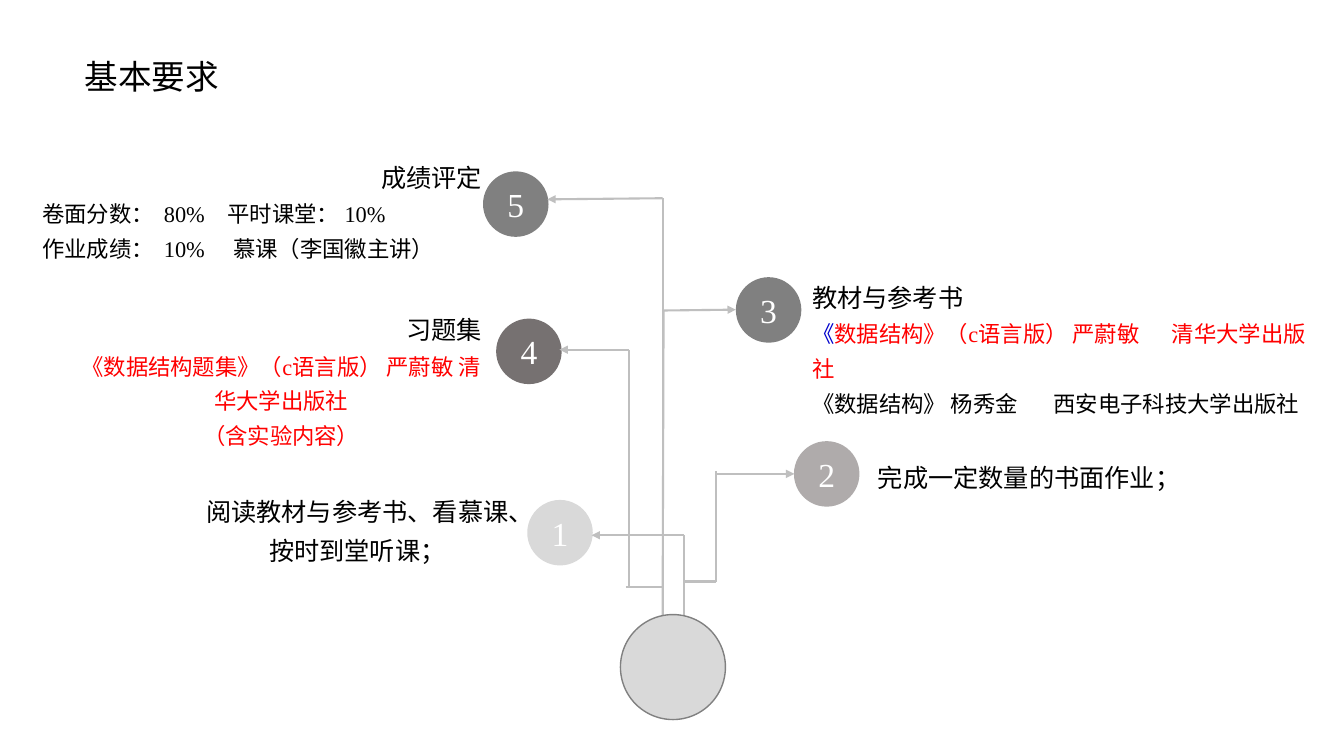
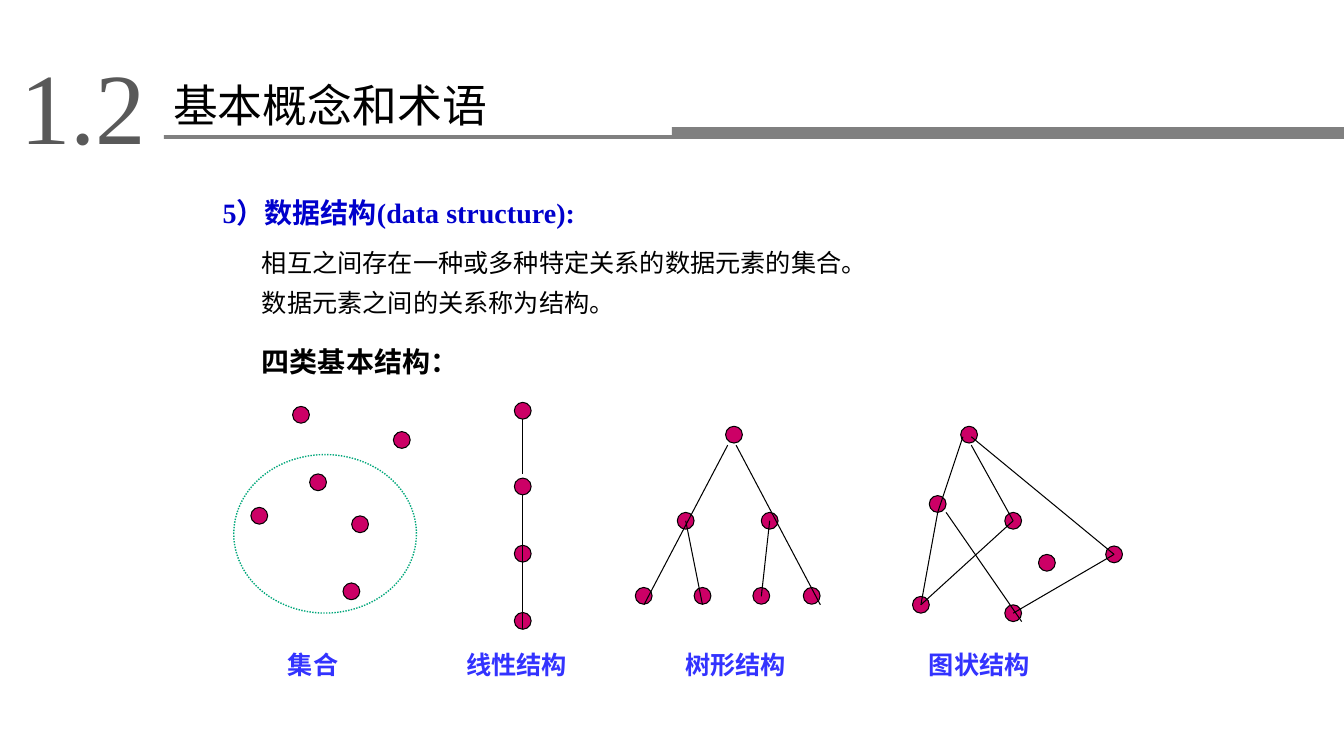
from dataclasses import dataclass
from itertools import pairwise

from lxml.etree import SubElement
from pptx import Presentation
from pptx.dml.color import RGBColor
from pptx.enum.dml import MSO_LINE_DASH_STYLE as Dash
from pptx.enum.shapes import MSO_CONNECTOR as Connector, MSO_SHAPE as Preset
from pptx.enum.text import MSO_ANCHOR as Anchor, PP_ALIGN as Align
from pptx.oxml.ns import qn
from pptx.util import Pt

COLORS = {
    "black": "000000", "white": "FFFFFF", "red": "FF0000", "blue": "0000CC",
    "label": "3333FF", "number": "595959", "gray": "808080", "branch": "BFBFBF",
    "pale": "D9D9D9", "warm": "AFABAB", "dark": "767171",
    "node": "CC0066", "green": "00A77A",
}


@dataclass
class Row:
    """One paragraph; lead is an opening part in its own colour."""
    text: str
    size: float = 18
    color: str = "black"
    bold: bool = False
    align: Align = Align.LEFT
    spacing: float = 1.3
    before: float = 0
    indent: float = 0
    tabs: tuple = ()
    lead: tuple = ()


class Deck:
    FONT = "Times New Roman"
    NODE = 12
    BADGE = 46.8

    def __init__(self):
        self.prs = Presentation()
        self.prs.slide_width, self.prs.slide_height = Pt(960), Pt(540)
        self.slide = None

    def new_slide(self):
        self.slide = self.prs.slides.add_slide(self.prs.slide_layouts[6])

    @staticmethod
    def rgb(color):
        return RGBColor.from_string(COLORS[color])

    def set_row(self, paragraph, row):
        paragraph.alignment = row.align
        paragraph.line_spacing = row.spacing
        if row.before:
            paragraph.space_before = Pt(row.before)
        props = paragraph._p.get_or_add_pPr()
        if row.indent:
            props.set("marL", str(Pt(row.indent)))
            props.set("indent", "0")
        if row.tabs:
            stops = SubElement(props, qn("a:tabLst"))
            for stop in row.tabs:
                SubElement(stops, qn("a:tab"), pos=str(Pt(stop)), algn="l")
        font = paragraph.font
        font.name, font.size, font.bold = self.FONT, Pt(row.size), row.bold
        font.color.rgb = self.rgb(row.color)
        if row.lead:
            opening, color = row.lead
            run = paragraph.add_run()
            run.text = opening
            run.font.color.rgb = self.rgb(color)
        paragraph.add_run().text = row.text

    def text(self, left, top, width, height, *rows):
        box = self.slide.shapes.add_textbox(Pt(left), Pt(top), Pt(width), Pt(height))
        frame = box.text_frame
        frame.word_wrap = True
        for i, row in enumerate(rows):
            self.set_row(frame.add_paragraph() if i else frame.paragraphs[0], row)

    def title(self, left, top, width, height, text, size):
        self.text(left, top, width, height, Row(text, size, spacing=1))

    def shape(self, preset, left, top, width, height, fill=None, line=None, weight=1):
        shape = self.slide.shapes.add_shape(
            preset, Pt(left), Pt(top), Pt(width), Pt(height))
        shape.shadow.inherit = False
        if fill:
            shape.fill.solid()
            shape.fill.fore_color.rgb = self.rgb(fill)
        else:
            shape.fill.background()
        if line:
            shape.line.color.rgb = self.rgb(line)
            shape.line.width = Pt(weight)
        else:
            shape.line.fill.background()
        return shape

    def badge(self, x, y, number, fill):
        size = self.BADGE
        badge = self.shape(Preset.OVAL, x - size / 2, y - size / 2, size, size, fill)
        badge.text_frame.vertical_anchor = Anchor.MIDDLE
        self.set_row(badge.text_frame.paragraphs[0],
                     Row(number, 24, "white", align=Align.CENTER, spacing=1))

    def node(self, x, y):
        size = self.NODE
        self.shape(Preset.OVAL, x - size / 2, y - size / 2, size, size,
                   "node", "black", 0.75)

    def line(self, start, end, color="black", weight=0.75, arrow=False):
        line = self.slide.shapes.add_connector(
            Connector.STRAIGHT, *(Pt(v) for v in (*start, *end)))
        line.line.color.rgb = self.rgb(color)
        line.line.width = Pt(weight)
        props = line._element.spPr
        if arrow:
            SubElement(props.find(qn("a:ln")), qn("a:tailEnd"), type="triangle")
        SubElement(props, qn("a:effectLst"))

    def branch(self, *points, arrow=True):
        legs = list(pairwise(points))
        for i, (start, end) in enumerate(legs, 1):
            self.line(start, end, "branch", 1.5, arrow and i == len(legs))

    def diagram(self, nodes, edges=()):
        for center in nodes:
            self.node(*center)
        for start, end in edges:
            self.line(start, end)


def requirements(deck):
    deck.new_slide()
    deck.title(53.3, 36.7, 207, 36, "基本要求", 24)

    # Numbered badges
    for x, y, number, fill in [
        (400, 380.5, "1", "pale"), (590.5, 338.5, "2", "warm"),
        (549, 221.4, "3", "gray"), (377.8, 251, "4", "dark"),
        (368.4, 145.8, "5", "gray"),
    ]:
        deck.badge(x, y, number, fill)

    # Branches growing from the hub
    trunk, right = 473.3, 488.5
    deck.branch((right, 447), (right, 382.3), (422.6, 382.3))
    deck.branch((right, 415.4), (511.4, 415.4), (511.4, 336.4), arrow=False)
    deck.branch((511.4, 338.5), (567.4, 338.5))
    deck.branch((trunk, 449), (474, 221.8), (525.6, 221.2))
    deck.branch((447, 419.4), (trunk, 419.4), arrow=False)
    deck.branch((449.3, 419.4), (449.3, 249.8), (399.6, 249.8))
    deck.branch((trunk, 465.8), (trunk, 141.6), (391, 142.4))
    deck.shape(Preset.OVAL, 443.2, 439, 75, 75, "pale", "gray")

    # Requirement texts
    deck.text(133.2, 344.2, 244, 61,
              Row("阅读教材与参考书、看慕课、按时到堂听课；", align=Align.CENTER))
    deck.text(620, 320.4, 244, 33, Row("完成一定数量的书面作业；"))
    deck.text(573, 187.2, 379, 88,
              Row("教材与参考书", spacing=1.5),
              Row("数据结构》（c语言版） 严蔚敏\t清华大学出版社", 16, "red",
                  lead=("《", "blue"), tabs=(257,)),
              Row("《数据结构》 杨秀金\t西安电子科技大学出版社", 16, tabs=(172.5,)))
    deck.text(50.4, 210.2, 301, 151,
              Row("习题集", align=Align.RIGHT, spacing=1.5),
              Row("《数据结构题集》（c语言版） 严蔚敏 清华大学出版社", 16, "red",
                  align=Align.CENTER),
              Row("（含实验内容）", 16, "red", align=Align.CENTER))
    deck.text(23, 101.5, 328.4, 88,
              Row("成绩评定", align=Align.RIGHT, spacing=1.5),
              Row("卷面分数：\t80%\t平时课堂：\t10%", 16, tabs=(87, 132.5, 216)),
              Row("作业成绩：\t10%\t慕课（李国徽主讲）", 16, tabs=(87, 136.5)))


def concepts(deck):
    deck.new_slide()

    # Section number, title and band
    deck.text(2.2, 27.4, 114.5, 94,
              Row("1.2", 72, "number", align=Align.CENTER, spacing=1))
    deck.shape(Preset.RECTANGLE, 480, 90.8, 480, 8.5, "gray")
    deck.shape(Preset.RECTANGLE, 117, 96.5, 363, 2.8, "gray")
    deck.title(116.6, 51.8, 258.5, 46, "基本概念和术语", 32)

    # Definition
    deck.text(116, 128.9, 432, 36,
              Row("5）数据结构(data structure):", 20, "blue", True, indent=36))
    deck.text(144, 167, 658, 142,
              Row("相互之间存在一种或多种特定关系的数据元素的集合。", indent=36),
              Row("数据元素之间的关系称为结构。", indent=36),
              Row("四类基本结构：", 20, bold=True, before=12, indent=36))

    # Set
    deck.diagram([(215, 296.3), (185.2, 368.4), (257.2, 374.5),
                  (287, 314.3), (227.2, 344.5), (251, 422.4)])
    ring = deck.shape(Preset.OVAL, 167, 324.7, 130.5, 113.2, line="green")
    ring.line.dash_style = Dash.ROUND_DOT

    # Linear structure
    x = 373.4
    deck.diagram([(x, y) for y in (293.4, 347.5, 395.5, 443.5)],
                 [((x, 299.5), (x, 338.4)), ((x, 353.5), (x, 449.3))])

    # Tree
    deck.diagram(
        [(524.3, 310.5), (489.8, 372), (549.8, 372)]
        + [(leaf, 425.6) for leaf in (459.8, 501.8, 543.8, 579.8)],
        [((519.8, 318), (460, 432)), ((525.8, 318), (586, 432)),
         ((489.8, 372), (501.8, 432)), ((549.8, 372), (543.8, 426))])

    # Graph
    deck.diagram(
        [(692.2, 310.5), (669.8, 360), (723.7, 372), (657.8, 432),
         (723.7, 438), (795.8, 396), (747.8, 402)],
        [((687.8, 312), (669.8, 366)), ((669.8, 366), (657.8, 432)),
         ((675.8, 366), (729.8, 444)), ((723.7, 372), (657.8, 432)),
         ((693.8, 312), (795.8, 396)), ((693.8, 318), (723.7, 372)),
         ((723.7, 438), (795.8, 396))])

    # Structure names
    for left, name in [(198.5, "集合"), (326, "线性结构"),
                       (482.4, "树形结构"), (656.4, "图状结构")]:
        deck.text(left, 453.6, 120, 33, Row(name, color="label", bold=True))


def main():
    deck = Deck()
    requirements(deck)
    concepts(deck)
    deck.prs.save("out.pptx")


if __name__ == "__main__":
    main()
